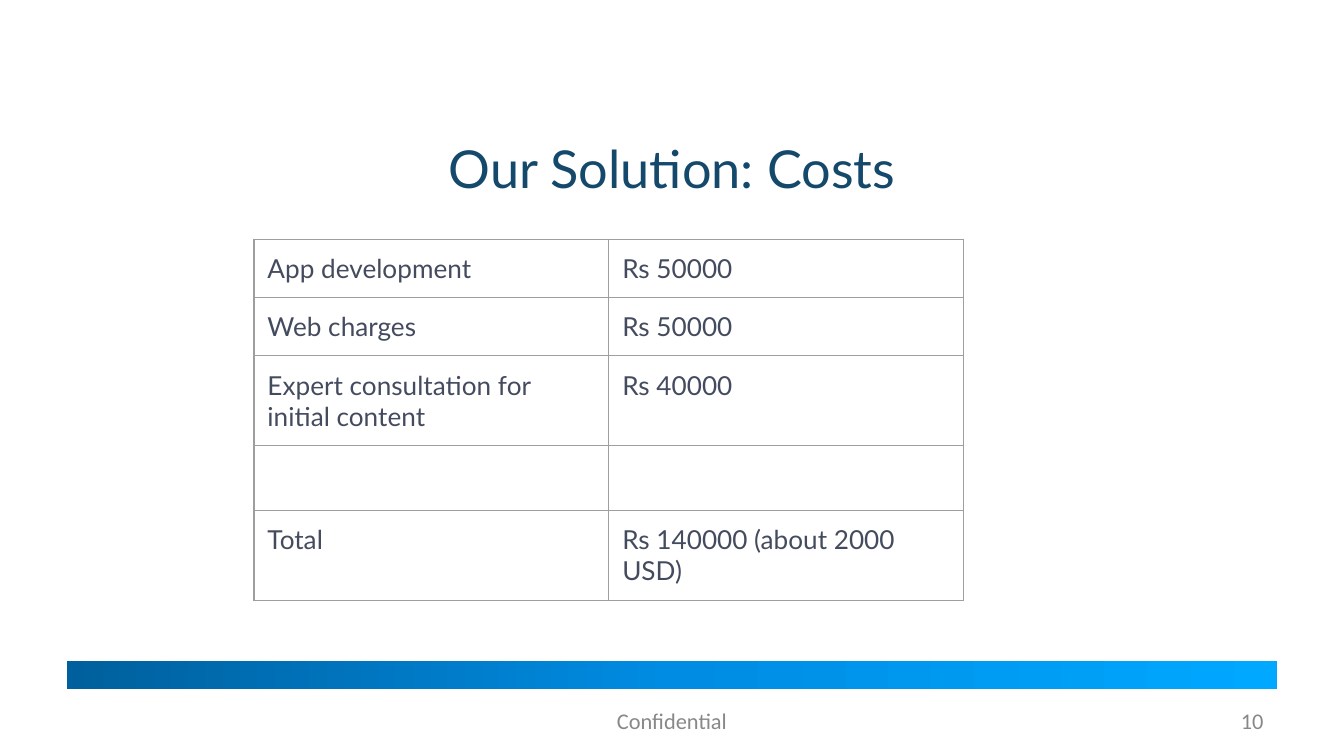
from copy import deepcopy

from lxml.etree import SubElement
from pptx import Presentation
from pptx.dml.color import RGBColor
from pptx.enum.shapes import MSO_SHAPE as Shape
from pptx.enum.text import MSO_ANCHOR as Anchor, PP_ALIGN as Align
from pptx.oxml.ns import qn
from pptx.util import Inches, Pt

NAVY = RGBColor(0x15, 0x49, 0x6B)
SLATE = RGBColor(0x44, 0x4B, 0x5E)
GREY = RGBColor(0x88, 0x88, 0x88)
BORDER = RGBColor(0x9E, 0x9E, 0x9E)
BAR_STOPS = [
    (0, RGBColor(0x00, 0x60, 0x9D)),
    (0.5, RGBColor(0x00, 0x8C, 0xE3)),
    (1, RGBColor(0x00, 0xA8, 0xFF)),
]

WIDTH = 10
HEIGHT = WIDTH * 9 / 16
MARGIN = 0.5
CONTENT_WIDTH = WIDTH - 2 * MARGIN
CELL_INSET = Inches(0.1)

COSTS = [
    ("App development", "Rs 50000"),
    ("Web charges", "Rs 50000"),
    ("Expert consultation for initial content", "Rs 40000"),
    ("", ""),
    ("Total", "Rs 140000 (about 2000 USD)"),
]
ROW_HEIGHTS = [0.43, 0.43, 0.67, 0.48, 0.67]


def add_span(para, text, font, size, color):
    span = para.add_run()
    span.text = text
    span.font.name = font
    span.font.size = Pt(size)
    span.font.bold = False
    span.font.color.rgb = color


def add_label(page, box, text, font, size, color, align):
    frame = page.shapes.add_textbox(*map(Inches, box)).text_frame
    frame.word_wrap = True
    frame.vertical_anchor = Anchor.MIDDLE
    para = frame.paragraphs[0]
    para.alignment = align
    add_span(para, text, font, size, color)


def add_gradient_bar(page, box):
    bar = page.shapes.add_shape(Shape.RECTANGLE, *map(Inches, box))
    bar.shadow.inherit = False
    bar.line.fill.background()
    bar.fill.gradient()
    bar.fill.gradient_angle = 0
    stop_list = bar._element.spPr.find(".//" + qn("a:gsLst"))
    stop_list.append(deepcopy(stop_list[-1]))
    for stop, (position, color) in zip(bar.fill.gradient_stops, BAR_STOPS):
        stop.position = position
        stop.color.rgb = color


def add_footer(page, box):
    """Place the bar above a centred notice and a right-hand page number."""
    left, top, width, height = box
    add_gradient_bar(page, (left, top, width, 0.21))
    text_top, text_height = top + 0.29, height - 0.29
    notice_width, number_width = 3.17, 2.33
    notice = (left + (width - notice_width) / 2, text_top, notice_width, text_height)
    number = (left + width - number_width, text_top, number_width, text_height)
    add_label(page, notice, "Confidential", "Calibri", 12, GREY, Align.CENTER)
    add_label(page, number, "10", "Calibri", 12, GREY, Align.RIGHT)


def outline_cell(cell):
    properties = cell._tc.get_or_add_tcPr()
    for side in ("a:lnL", "a:lnR", "a:lnT", "a:lnB"):
        line = SubElement(properties, qn(side), w=str(Pt(0.75)))
        fill = SubElement(line, qn("a:solidFill"))
        SubElement(fill, qn("a:srgbClr"), val=str(BORDER))


def fill_cell(cell, text):
    outline_cell(cell)
    cell.fill.background()
    if text:
        cell.margin_left = cell.margin_right = CELL_INSET
        cell.margin_top = cell.margin_bottom = CELL_INSET
        add_span(cell.text_frame.paragraphs[0], text, "Lato", 14, SLATE)


def add_cost_table(page, box):
    table = page.shapes.add_table(len(COSTS), 2, *map(Inches, box)).table
    table.first_row = table.horz_banding = False
    for row, height, texts in zip(table.rows, ROW_HEIGHTS, COSTS):
        row.height = Inches(height)
        for cell, text in zip(row.cells, texts):
            fill_cell(cell, text)


def build_costs_page(deck):
    page = deck.slides.add_slide(deck.slide_layouts[6])
    add_footer(page, (MARGIN, 4.92, CONTENT_WIDTH, 0.6))
    add_label(page, (MARGIN, 0.9, CONTENT_WIDTH, 0.7),
              "Our Solution: Costs", "Lato", 28, NAVY, Align.CENTER)
    add_cost_table(page, (1.89, 1.78, 5.28, sum(ROW_HEIGHTS)))


def main():
    deck = Presentation()
    deck.slide_width, deck.slide_height = Inches(WIDTH), Inches(HEIGHT)
    build_costs_page(deck)
    deck.save("out.pptx")


if __name__ == "__main__":
    main()
